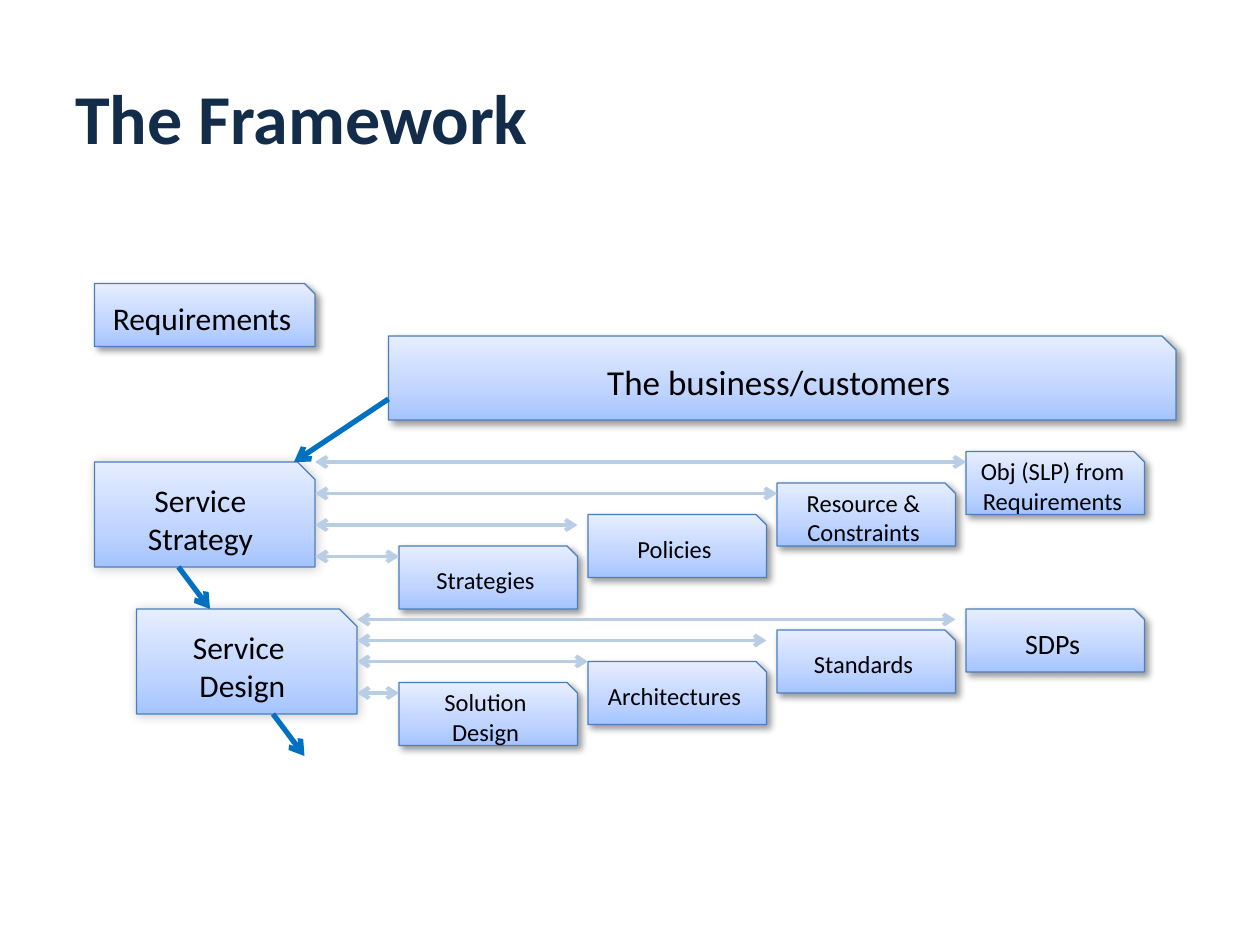
from copy import deepcopy
from dataclasses import dataclass

from lxml import etree
from pptx import Presentation
from pptx.dml.color import RGBColor
from pptx.enum.shapes import MSO_CONNECTOR, MSO_SHAPE
from pptx.enum.text import MSO_ANCHOR, PP_ALIGN
from pptx.oxml.ns import qn
from pptx.util import Pt

PX = 7620  # EMU per px: 120 px to the inch
STRAIGHT = MSO_CONNECTOR.STRAIGHT
SNIPPED = MSO_SHAPE.SNIP_1_RECTANGLE
MIDDLE = MSO_ANCHOR.MIDDLE
CENTER = PP_ALIGN.CENTER


@dataclass(frozen=True)
class Theme:
    font: str = "Calibri"
    title: str = "132C4A"
    text: str = "000000"
    outline: str = "4B7EBC"
    link: str = "B9CDE5"
    flow: str = "0070C0"
    gradient: tuple = ((0, "A4C4FF"), (0.35, "BFD4FF"), (1, "E6EEFF"))
    # Shadows: opacity in percent, blur and distance in points
    card_shadow: tuple = (40, 4, 3)
    stage_shadow: tuple = (20, 6, 1)
    title_size: int = 40
    business_size: int = 20
    stage_size: int = 18
    output_size: int = 14
    package_size: int = 16


THEME = Theme()


def rgb(color):
    return RGBColor.from_string(color)


def emu(*lengths):
    return [length * PX for length in lengths]


def set_text(shape, text, size, color, bold=False):
    frame = shape.text_frame
    frame.word_wrap = True
    frame.vertical_anchor = MIDDLE
    frame.text = text
    for run in frame.paragraphs[0].runs:
        run.font.name = THEME.font
        run.font.size = Pt(size)
        run.font.bold = bold
        run.font.color.rgb = rgb(color)


def fill_gradient(shape):
    shape.fill.gradient()
    shape.fill.gradient_angle = 90
    stop_list = shape._element.spPr.find(f"{qn('a:gradFill')}/{qn('a:gsLst')}")
    stop_list.append(deepcopy(stop_list[0]))
    for stop, (position, color) in zip(shape.fill.gradient_stops, THEME.gradient):
        stop.position = position
        stop.color.rgb = rgb(color)


def add_shadow(shape, opacity, blur, distance):
    shape.shadow.inherit = False
    effects = shape._element.spPr.find(qn("a:effectLst"))
    shadow = etree.SubElement(
        effects, qn("a:outerShdw"), blurRad=str(Pt(blur)), dist=str(Pt(distance)),
        dir="2700000", algn="tl", rotWithShape="0")
    color = etree.SubElement(shadow, qn("a:srgbClr"), val="000000")
    etree.SubElement(color, qn("a:alpha"), val=str(opacity * 1000))


def add_card(slide, box, text, size, shadow=THEME.card_shadow):
    card = slide.shapes.add_shape(SNIPPED, *emu(*box))
    fill_gradient(card)
    card.line.color.rgb = rgb(THEME.outline)
    card.line.width = Pt(0.75)
    add_shadow(card, *shadow)
    set_text(card, text, size, THEME.text)
    card.text_frame.paragraphs[0].alignment = CENTER


def add_arrow(slide, start, end, color, width, ends=("tailEnd",)):
    arrow = slide.shapes.add_connector(STRAIGHT, *emu(*start, *end))
    arrow.line.color.rgb = rgb(color)
    arrow.line.width = Pt(width)
    properties = arrow._element.spPr
    for end_name in ends:
        etree.SubElement(properties.find(qn("a:ln")), qn(f"a:{end_name}"), type="arrow")
    etree.SubElement(properties, qn("a:effectLst"))


def add_title(slide, box):
    title = slide.shapes.add_textbox(*emu(*box))
    set_text(title, "The Framework", THEME.title_size, THEME.title, bold=True)


def add_stage(slide, box, name, outputs):
    """A stage, its staircase of outputs and a two-way link to each one.

    Output and link heights are measured from the top of the stage.
    """
    left, top, width, height = box
    add_card(slide, box, name, THEME.stage_size, THEME.stage_shadow)
    for column, (label, size, card_y, link_y, link_end) in enumerate(outputs):
        add_card(slide, (380 + 180 * column, top + card_y, 170, 60), label, size)
        add_arrow(slide, (left + width, top + link_y), (link_end, top + link_y),
                  THEME.link, 2.25, ("headEnd", "tailEnd"))


def add_flow(slide, start, run, drop):
    end = (start[0] + run, start[1] + drop)
    add_arrow(slide, start, end, THEME.flow, 3)


def main():
    presentation = Presentation()
    presentation.slide_width, presentation.slide_height = emu(1200, 900)
    slide = presentation.slides.add_slide(presentation.slide_layouts[6])

    add_title(slide, (60, 36, 1080, 150))

    # Sources of the requirements
    add_card(slide, (90, 270, 210, 60), "Requirements", THEME.stage_size)
    add_card(slide, (370, 320, 750, 80), "The business/customers", THEME.business_size)

    # Stages: label, size, card top, link height, link end
    small = THEME.output_size
    add_stage(slide, (90, 440, 210, 100), "Service Strategy", (
        ("Strategies", small, 80, 90, 380),
        ("Policies", small, 50, 60, 550),
        ("Resource & Constraints", small, 20, 30, 740),
        ("Obj (SLP) from Requirements", small, -10, 0, 920),
    ))
    add_stage(slide, (130, 580, 210, 100), "Service \vDesign", (
        ("Solution Design", small, 70, 80, 380),
        ("Architectures", small, 50, 50, 560),
        ("Standards", small, 20, 30, 730),
        ("SDPs", THEME.package_size, 0, 10, 910),
    ))

    # Flow from the business down through the stages
    add_flow(slide, (370, 380), -90, 60)
    add_flow(slide, (170, 540), 30, 40)
    add_flow(slide, (260, 680), 30, 40)

    presentation.save("out.pptx")


if __name__ == "__main__":
    main()
